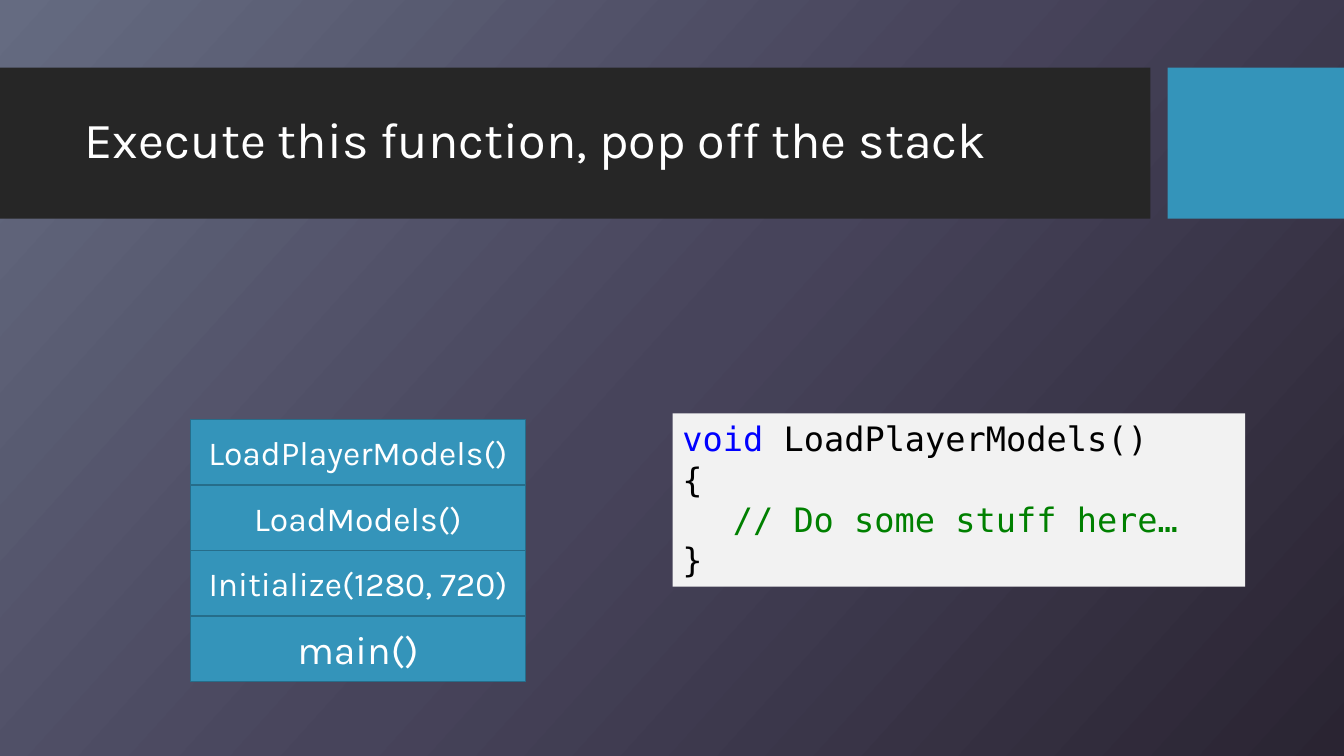
from copy import deepcopy
from dataclasses import dataclass

from lxml.etree import SubElement
from pptx import Presentation
from pptx.dml.color import RGBColor
from pptx.enum.shapes import MSO_SHAPE
from pptx.enum.text import MSO_ANCHOR as Anchor, MSO_AUTO_SIZE as AutoSize, PP_ALIGN as Align
from pptx.oxml.ns import qn
from pptx.util import Inches, Pt

TEXT_FONT, CODE_FONT = "Karla", "DejaVu Sans Mono"
WHITE, BLACK, BLUE = "FFFFFF", "000000", "3494BA"
KEYWORD, COMMENT = "0000FF", "008000"


@dataclass
class Box:
    left: float
    top: float
    width: float
    height: float
    fill: str
    line: str | None = None


@dataclass
class Run:
    text: str
    color: str = WHITE


@dataclass
class StackFrame:
    call: str
    size: int = 24


def rgb(color: str) -> RGBColor:
    return RGBColor.from_string(color)


def paint_background(slide, stops: list[tuple[float, str]], angle: float) -> None:
    fill = slide.background.fill
    fill.gradient()
    fill.gradient_angle = 360 - angle
    stop_list = slide.element.find(".//" + qn("a:gsLst"))
    while len(stop_list) < len(stops):
        stop_list.append(deepcopy(stop_list[0]))
    for stop, (position, color) in zip(fill.gradient_stops, stops):
        stop.position = position
        stop.color.rgb = rgb(color)


def draw_box(slide, box: Box):
    shape = slide.shapes.add_shape(
        MSO_SHAPE.RECTANGLE, Inches(box.left), Inches(box.top),
        Inches(box.width), Inches(box.height))
    shape.shadow.inherit = False
    shape.fill.solid()
    shape.fill.fore_color.rgb = rgb(box.fill)
    if box.line:
        shape.line.color.rgb = rgb(box.line)
        shape.line.width = Pt(1)
    else:
        shape.line.fill.background()
    return shape


def write_text(shape, lines: list[list[Run]], *, font: str = TEXT_FONT, size: int = 24,
               align=Align.LEFT, anchor=Anchor.MIDDLE, spacing: float = 1.0,
               tab: float | None = None) -> None:
    frame = shape.text_frame
    frame.word_wrap = True
    frame.auto_size = AutoSize.NONE
    frame.vertical_anchor = anchor
    for index, runs in enumerate(lines):
        paragraph = frame.paragraphs[0] if index == 0 else frame.add_paragraph()
        paragraph.alignment = align
        paragraph.line_spacing = spacing
        if tab:
            tabs = SubElement(paragraph._p.get_or_add_pPr(), qn("a:tabLst"))
            SubElement(tabs, qn("a:tab"), pos=str(Inches(tab)), algn="l")
        for part in runs:
            run = paragraph.add_run()
            run.text = part.text
            run.font.name = font
            run.font.size = Pt(size)
            run.font.color.rgb = rgb(part.color)


def main() -> None:
    deck = Presentation()
    deck.slide_width, deck.slide_height = Inches(13.33), Inches(7.5)
    slide = deck.slides.add_slide(deck.slide_layouts[5])
    paint_background(slide, [(0, "656B81"), (0.5, "47445B"), (1, "2A2432")], angle=42)

    # Title band, with the title in front of it
    draw_box(slide, Box(0, 0.67, 11.41, 1.5, "262626"))
    draw_box(slide, Box(11.58, 0.67, 1.75, 1.5, BLUE))
    title = slide.shapes.title
    slide.shapes.element.append(title.element)
    title.left, title.top = Inches(0.74), Inches(0.82)
    title.width, title.height = Inches(10.51), Inches(1.18)
    write_text(title, [[Run("Execute this function, pop off the stack")]],
               size=36, spacing=0.9)

    # Code of the running function
    code = draw_box(slide, Box(6.67, 4.1, 5.68, 1.72, "F2F2F2"))
    write_text(code, [
        [Run("void ", KEYWORD), Run("LoadPlayerModels()", BLACK)],
        [Run("{", BLACK)],
        [Run("\t", BLACK), Run("// Do some stuff here…", COMMENT)],
        [Run("}", BLACK)],
    ], font=CODE_FONT, anchor=Anchor.TOP, tab=0.5)

    # Call stack, built from the bottom up
    call_stack = [
        StackFrame("main()", size=28),
        StackFrame("Initialize(1280, 720)"),
        StackFrame("LoadModels()"),
        StackFrame("LoadPlayerModels()"),
    ]
    frame_height = 0.65
    for depth, call_frame in enumerate(call_stack):
        top = 6.11 - depth * frame_height
        block = draw_box(slide, Box(1.89, top, 3.32, frame_height, BLUE, line="266D8A"))
        write_text(block, [[Run(call_frame.call)]], size=call_frame.size, align=Align.CENTER)

    deck.save("out.pptx")


if __name__ == "__main__":
    main()
